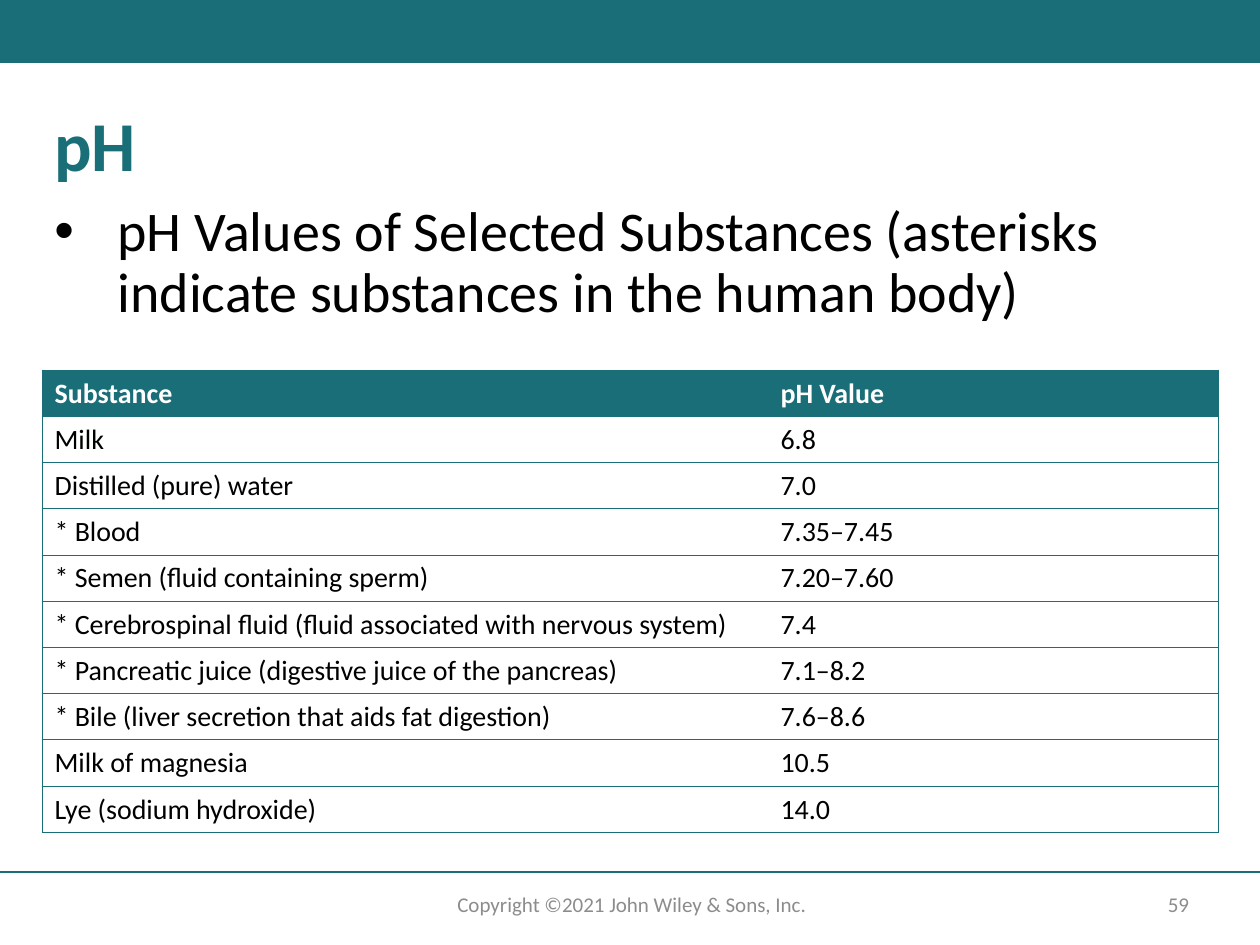
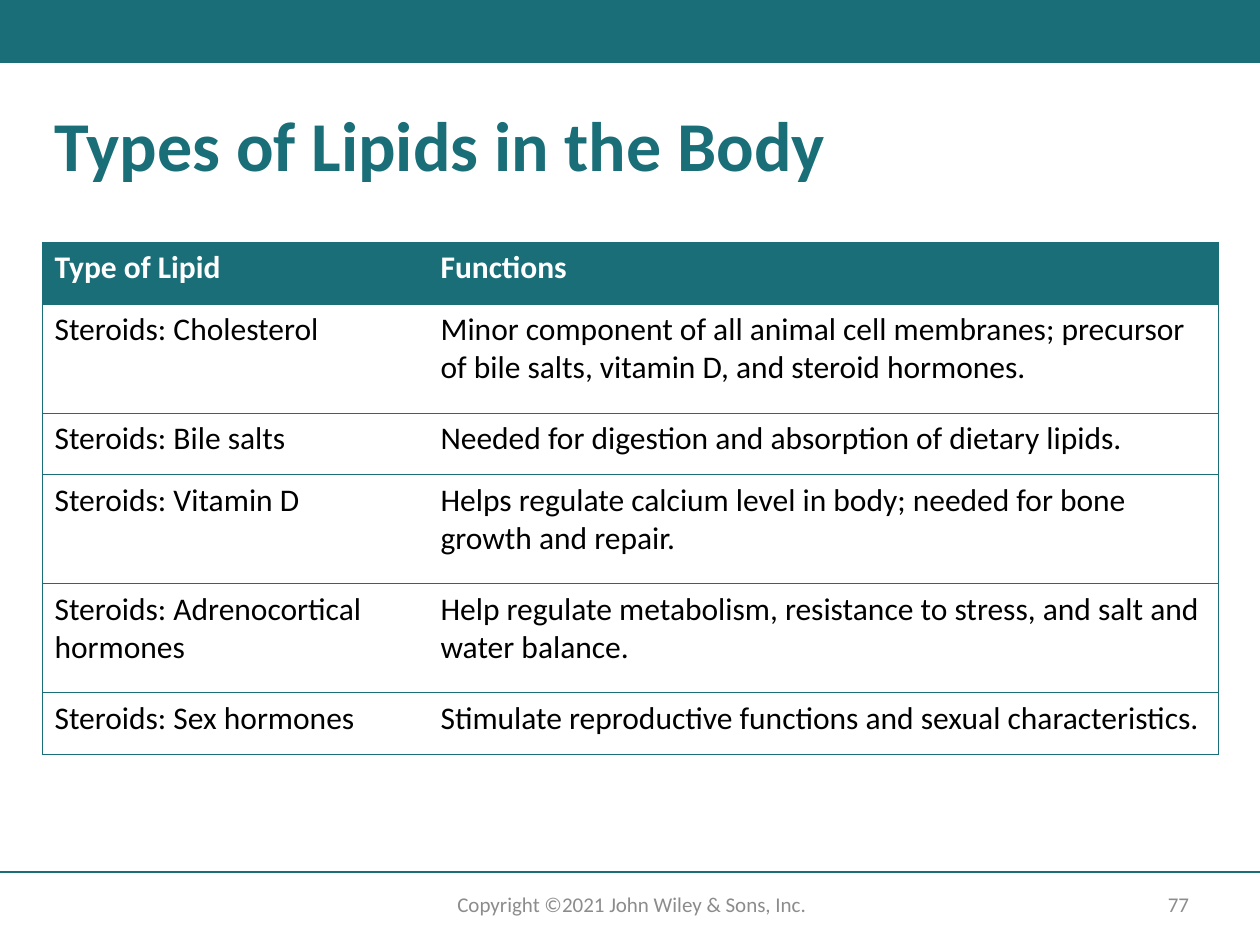
from dataclasses import dataclass

from lxml import etree
from pptx import Presentation
from pptx.dml.color import RGBColor
from pptx.enum.shapes import MSO_CONNECTOR, MSO_SHAPE
from pptx.enum.text import MSO_ANCHOR, PP_ALIGN
from pptx.oxml.ns import qn
from pptx.util import Pt

RECTANGLE = MSO_SHAPE.RECTANGLE
STRAIGHT = MSO_CONNECTOR.STRAIGHT
TOP, MIDDLE = MSO_ANCHOR.TOP, MSO_ANCHOR.MIDDLE
LEFT, CENTER = PP_ALIGN.LEFT, PP_ALIGN.CENTER

SLIDE_WIDTH, SLIDE_HEIGHT = 1260, 945
MARGIN, CONTENT_WIDTH = 42, 1176
PX_PER_INCH = 126
COPYRIGHT = "Copyright ©2021 John Wiley & Sons, Inc."


@dataclass(frozen=True)
class Theme:
    teal: str = "196E78"
    white: str = "FFFFFF"
    black: str = "000000"
    gray: str = "8C8C8C"
    font: str = "Calibri"
    title_size: int = 40
    body_size: int = 32
    footer_size: int = 12
    rule_width: float = 1
    border_width: float = 0.5


def px(length):
    return round(length * 914400 / PX_PER_INCH)


class SlideBuilder:
    def __init__(self, theme):
        self.theme = theme
        self.deck = Presentation()
        self.deck.slide_width = px(SLIDE_WIDTH)
        self.deck.slide_height = px(SLIDE_HEIGHT)
        self.slide = None

    def new_slide(self, title, number):
        """Start a slide with the shared band, footer and title."""
        theme = self.theme
        self.slide = self.deck.slides.add_slide(self.deck.slide_layouts[6])
        self.band(0, 0, SLIDE_WIDTH, 63)
        self.rule(872)
        footer = {"size": theme.footer_size, "color": theme.gray}
        self.text(COPYRIGHT, (406, 885, 452, 38), footer, align=CENTER)
        self.text(str(number), (1140, 887, 77, 35), footer, align=CENTER, anchor=MIDDLE)
        self.text(title, (MARGIN, 105, CONTENT_WIDTH, 116),
                  {"size": theme.title_size, "color": theme.teal, "bold": True},
                  line_spacing=0.9)

    def band(self, left, top, width, height):
        band = self.slide.shapes.add_shape(
            RECTANGLE, px(left), px(top), px(width), px(height))
        band.shadow.inherit = False
        band.fill.solid()
        band.fill.fore_color.rgb = RGBColor.from_string(self.theme.teal)
        band.line.fill.background()

    def rule(self, top):
        rule = self.slide.shapes.add_connector(
            STRAIGHT, 0, px(top), px(SLIDE_WIDTH), px(top))
        rule.line.color.rgb = RGBColor.from_string(self.theme.teal)
        rule.line.width = Pt(self.theme.rule_width)
        properties = rule._element.find(qn("p:spPr"))
        etree.SubElement(properties, qn("a:effectLst"))

    def text(self, words, area, style, align=LEFT, anchor=TOP, line_spacing=1.0):
        box = self.slide.shapes.add_textbox(*map(px, area))
        box.text_frame.word_wrap = True
        box.text_frame.vertical_anchor = anchor
        para = box.text_frame.paragraphs[0]
        para.alignment = align
        para.line_spacing = line_spacing
        self.add_span(para, words, style)
        return para

    def add_span(self, para, words, style):
        span = para.add_run()
        span.text = words
        formats = {"name": self.theme.font, "size": Pt(style["size"]),
                   "bold": style.get("bold", False)}
        for name, value in formats.items():
            setattr(span.font, name, value)
        span.font.color.rgb = RGBColor.from_string(style["color"])

    def bullet(self, words, area):
        para = self.text(words, area,
                         {"size": self.theme.body_size, "color": self.theme.black},
                         line_spacing=0.9)
        properties = para._p.get_or_add_pPr()
        properties.set("marL", str(px(63)))
        properties.set("indent", str(-px(63)))
        etree.SubElement(properties, qn("a:buFont"), typeface="Arial")
        etree.SubElement(properties, qn("a:buChar"), char="•")

    def table(self, rows, top, column_widths, row_heights, size):
        theme = self.theme
        frame = self.slide.shapes.add_table(
            len(rows), len(column_widths), px(MARGIN), px(top),
            px(CONTENT_WIDTH), px(sum(row_heights)))
        table = frame.table
        table.horz_banding = False
        for column, width in zip(table.columns, column_widths):
            column.width = px(width)
        for row, height in zip(table.rows, row_heights):
            row.height = px(height)
        last_column = len(column_widths) - 1
        for row_index, row in enumerate(rows):
            header = row_index == 0
            style = {"size": size, "bold": header,
                     "color": theme.white if header else theme.black}
            for column_index, words in enumerate(row):
                cell = table.cell(row_index, column_index)
                self.add_span(cell.text_frame.paragraphs[0], words, style)
                self.borders(cell, {"lnL": column_index == 0,
                                    "lnR": column_index == last_column,
                                    "lnT": True, "lnB": True})
                if header:
                    cell.fill.solid()
                    cell.fill.fore_color.rgb = RGBColor.from_string(theme.teal)
                else:
                    cell.fill.background()

    def borders(self, cell, sides):
        """Draw the sides marked True and clear the others; call before filling."""
        properties = cell._tc.get_or_add_tcPr()
        for side, visible in sides.items():
            line = etree.SubElement(properties, qn(f"a:{side}"),
                                    w=str(Pt(self.theme.border_width)))
            if visible:
                fill = etree.SubElement(line, qn("a:solidFill"))
                etree.SubElement(fill, qn("a:srgbClr"), val=self.theme.teal)
            else:
                etree.SubElement(line, qn("a:noFill"))


def add_ph_slide(builder):
    substances = [
        ("Substance", "pH Value"),
        ("Milk", "6.8"),
        ("Distilled (pure) water", "7.0"),
        ("* Blood", "7.35–7.45"),
        ("* Semen (fluid containing sperm)", "7.20–7.60"),
        ("* Cerebrospinal fluid (fluid associated with nervous system)", "7.4"),
        ("* Pancreatic juice (digestive juice of the pancreas)", "7.1–8.2"),
        ("* Bile (liver secretion that aids fat digestion)", "7.6–8.6"),
        ("Milk of magnesia", "10.5"),
        ("Lye (sodium hydroxide)", "14.0"),
    ]
    builder.new_slide("pH", 59)
    builder.bullet("pH Values of Selected Substances (asterisks indicate "
                   "substances in the human body)", (MARGIN, 197, CONTENT_WIDTH, 171))
    builder.table(substances, 370, (726, 450), [46] * len(substances), size=16)


def add_lipids_slide(builder):
    lipids = [
        ("Type of Lipid", "Functions"),
        ("Steroids: Cholesterol", "Minor component of all animal cell membranes; "
         "precursor of bile salts, vitamin D, and steroid hormones."),
        ("Steroids: Bile salts",
         "Needed for digestion and absorption of dietary lipids."),
        ("Steroids: Vitamin D", "Helps regulate calcium level in body; "
         "needed for bone growth and repair."),
        ("Steroids: Adrenocortical hormones", "Help regulate metabolism, "
         "resistance to stress, and salt and water balance."),
        ("Steroids: Sex hormones",
         "Stimulate reproductive functions and sexual characteristics."),
    ]
    one_line, two_lines = 62, 109
    heights = [one_line, two_lines, one_line, two_lines, two_lines, one_line]
    builder.new_slide("Types of Lipids in the Body", 77)
    builder.table(lipids, 242, (386, 790), heights, size=18)


def main():
    builder = SlideBuilder(Theme())
    add_ph_slide(builder)
    add_lipids_slide(builder)
    builder.deck.save("out.pptx")


if __name__ == "__main__":
    main()
